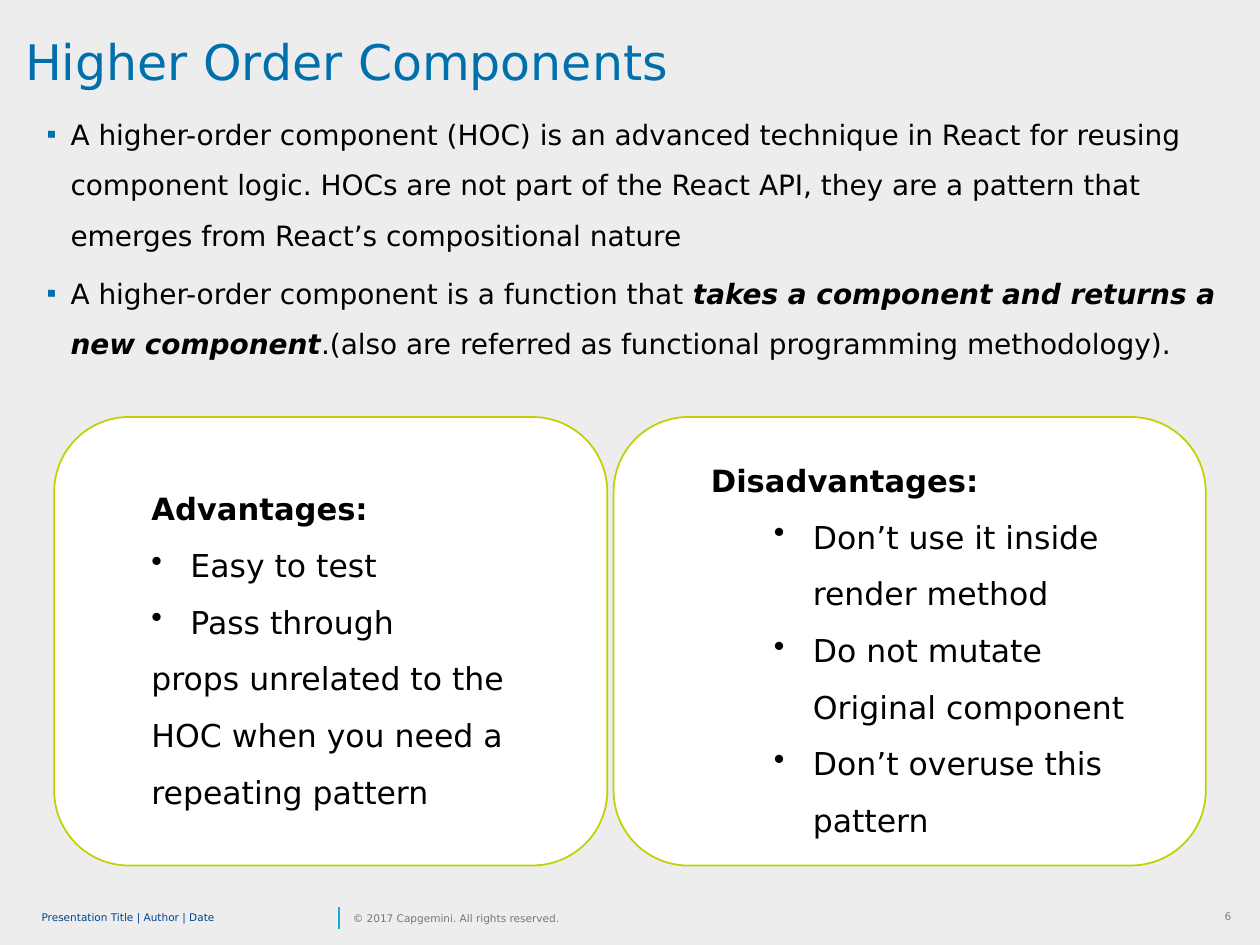
import pptx
import pptx.util
import pptx.dml.color
import pptx.enum.shapes
import pptx.enum.text
import pptx.oxml.ns
from lxml import etree

Inches = pptx.util.Inches
Pt = pptx.util.Pt
RGBColor = pptx.dml.color.RGBColor
Align = pptx.enum.text.PP_ALIGN
Anchor = pptx.enum.text.MSO_ANCHOR
qn = pptx.oxml.ns.qn

BACKGROUND = RGBColor(0xED, 0xED, 0xED)
BLUE = RGBColor(0x00, 0x70, 0xAD)
NAVY = RGBColor(0x00, 0x45, 0x8D)
CYAN = RGBColor(0x12, 0xAB, 0xDB)
LIME = RGBColor(0xC2, 0xCF, 0x00)
GRAY = RGBColor(0x80, 0x80, 0x80)
DARK_GRAY = RGBColor(0x76, 0x76, 0x76)
BLACK = RGBColor(0, 0, 0)
WHITE = RGBColor(0xFF, 0xFF, 0xFF)


class SlideBuilder:
    font = "DejaVu Sans"

    def __init__(self, slide):
        self.slide = slide
        fill = slide.background.fill
        fill.solid()
        fill.fore_color.rgb = BACKGROUND

    def place(self, shape, left, top, width, height):
        shape.left, shape.top = Inches(left), Inches(top)
        shape.width, shape.height = Inches(width), Inches(height)

    def style_run(self, run, size, color, bold=False, italic=False):
        run.font.name = self.font
        run.font.size = Pt(size)
        run.font.color.rgb = color
        run.font.bold = bold
        run.font.italic = italic

    def format_paragraph(self, paragraph, level=0, margin=0, hanging=0,
                         bullet=None, bullet_color=None, spacing=1.5, after=0):
        paragraph.alignment = Align.LEFT
        paragraph.level = level
        paragraph.line_spacing = spacing
        paragraph.space_before = Pt(0)
        paragraph.space_after = Pt(after)
        properties = paragraph._p.get_or_add_pPr()
        properties.set("marL", str(Inches(margin)))
        properties.set("indent", str(-Inches(hanging)))
        if bullet_color is not None:
            color = etree.SubElement(properties, qn("a:buClr"))
            etree.SubElement(color, qn("a:srgbClr"), val=str(bullet_color))
        if bullet:
            etree.SubElement(properties, qn("a:buChar"), char=bullet)

    def title(self, text, *box):
        shape = self.slide.shapes.title
        self.place(shape, *box)
        frame = shape.text_frame
        frame.text = text
        frame.vertical_anchor = Anchor.TOP
        frame.auto_size = pptx.enum.text.MSO_AUTO_SIZE.NONE
        self.format_paragraph(frame.paragraphs[0], spacing=0.9)
        self.style_run(frame.paragraphs[0].runs[0], 28, BLUE)

    def body(self, items, *box):
        shape = self.slide.placeholders[1]
        self.place(shape, *box)
        frame = shape.text_frame
        frame.auto_size = pptx.enum.text.MSO_AUTO_SIZE.NONE
        for index, parts in enumerate(items):
            paragraph = frame.add_paragraph() if index else frame.paragraphs[0]
            self.format_paragraph(paragraph, 1, 0.19, 0.19, "▪", BLUE, after=4.5)
            for text, emphasis in parts:
                run = paragraph.add_run()
                run.text = text
                self.style_run(run, 16, BLACK, emphasis, emphasis)

    def card(self, heading, items, *box):
        shape = self.slide.shapes.add_shape(
            pptx.enum.shapes.MSO_SHAPE.ROUNDED_RECTANGLE, *map(Inches, box))
        shape.shadow.inherit = False
        shape.fill.solid()
        shape.fill.fore_color.rgb = WHITE
        shape.line.color.rgb = LIME
        shape.line.width = Pt(1)
        frame = shape.text_frame
        frame.word_wrap = True
        frame.vertical_anchor = Anchor.MIDDLE
        frame.text = heading
        self.format_paragraph(frame.paragraphs[0], 1, 0.5)
        self.style_run(frame.paragraphs[0].runs[0], 17.5, BLACK, bold=True)
        for text, level, margin, hanging, bullet in items:
            paragraph = frame.add_paragraph()
            paragraph.text = text
            self.format_paragraph(paragraph, level, margin, hanging, bullet)
            self.style_run(paragraph.runs[0], 18, BLACK)

    def label(self, text, color, *box, wrap=False, spacing=1):
        shape = self.slide.shapes.add_textbox(*map(Inches, box))
        frame = shape.text_frame
        frame.margin_left = frame.margin_right = 0
        frame.margin_top = frame.margin_bottom = 0
        frame.word_wrap = wrap
        frame.vertical_anchor = Anchor.MIDDLE
        frame.text = text
        self.format_paragraph(frame.paragraphs[0], spacing=spacing)
        self.style_run(frame.paragraphs[0].runs[0], 6, color)
        return frame

    def page_number(self, text, *box):
        frame = self.label(text, GRAY, *box, wrap=True)
        frame.margin_left = frame.margin_right = Inches(0.1)
        frame.margin_top = frame.margin_bottom = Inches(0.05)
        frame.vertical_anchor = Anchor.TOP
        frame.paragraphs[0].alignment = Align.RIGHT

    def divider(self, x, bottom, top):
        line = self.slide.shapes.add_connector(
            pptx.enum.shapes.MSO_CONNECTOR.STRAIGHT,
            Inches(x), Inches(bottom), Inches(x), Inches(top))
        line.line.color.rgb = CYAN
        line.line.width = Pt(1)
        etree.SubElement(line._element.spPr, qn("a:effectLst"))


def main():
    presentation = pptx.Presentation()
    presentation.slide_width = Inches(10)
    presentation.slide_height = Inches(7.5)
    builder = SlideBuilder(
        presentation.slides.add_slide(presentation.slide_layouts[1]))

    builder.page_number("6", 9.52, 7.17, 0.35, 0.2)
    builder.divider(2.69, 7.37, 7.2)
    builder.label("Presentation Title | Author | Date", NAVY,
                  0.33, 7.17, 2.32, 0.24, wrap=True, spacing=0.85)
    builder.label("© 2017 Capgemini. All rights reserved.", DARK_GRAY,
                  2.8, 7.17, 1.82, 0.24)

    builder.title("Higher Order Components", 0.1, 0.25, 10, 0.53)
    builder.body([
        [("A higher-order component (HOC) is an advanced technique in React for "
          "reusing component logic. HOCs are not part of the React API, they are "
          "a pattern that emerges from React’s compositional nature", False)],
        [("A higher-order component is a function that ", False),
         ("takes a component and returns a new component", True),
         (".(also are referred as functional programming methodology).", False)],
    ], 0.27, 0.75, 9.67, 6.41)

    disadvantages = ["Don’t use it inside render method",
                     "Do not mutate Original component",
                     "Don’t overuse this pattern"]
    builder.card("Disadvantages:",
                 [(text, 2, 1.31, 0.31, "•") for text in disadvantages],
                 4.87, 3.31, 4.7, 3.56)
    builder.card("Advantages:", [
        ("Easy to test", 1, 0.81, 0.31, "•"),
        ("Pass through", 1, 0.81, 0.31, "•"),
        ("props unrelated to the HOC when you need a repeating pattern",
         1, 0.5, 0, None),
    ], 0.43, 3.31, 4.39, 3.56)

    presentation.save("out.pptx")


if __name__ == "__main__":
    main()
